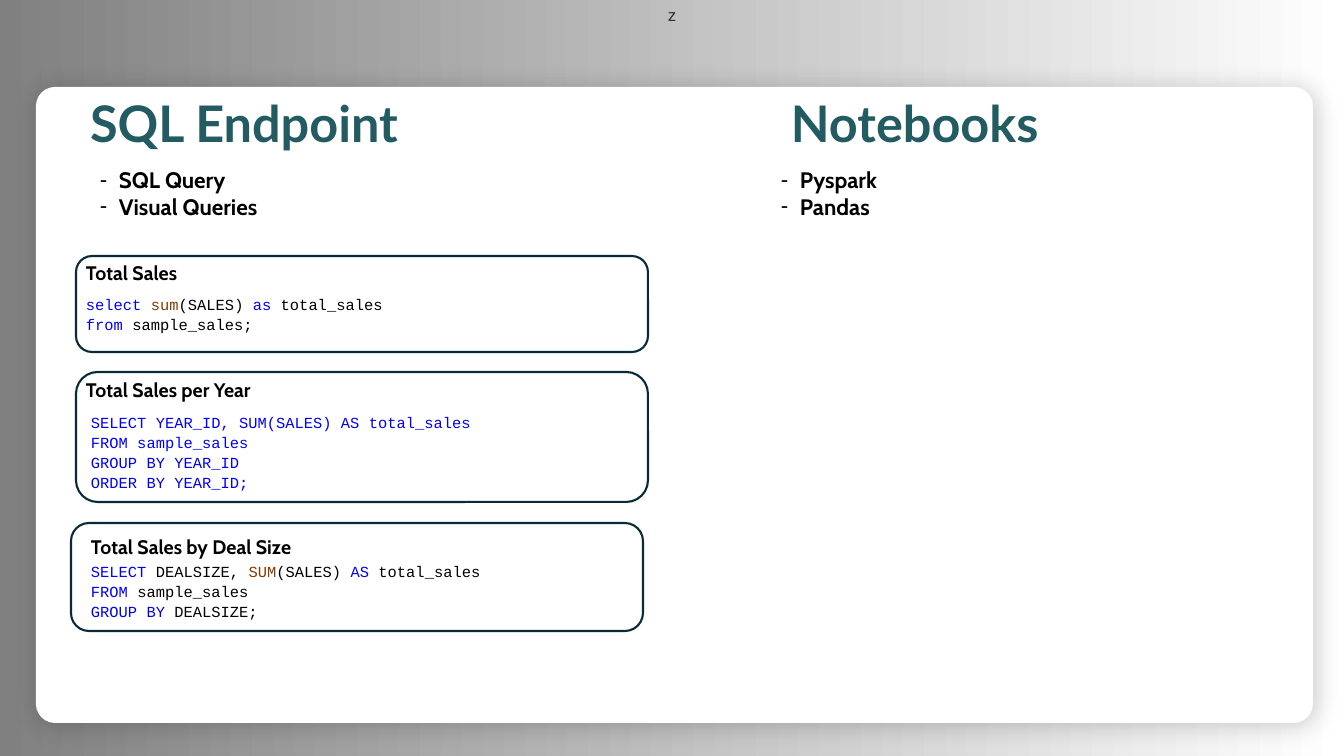
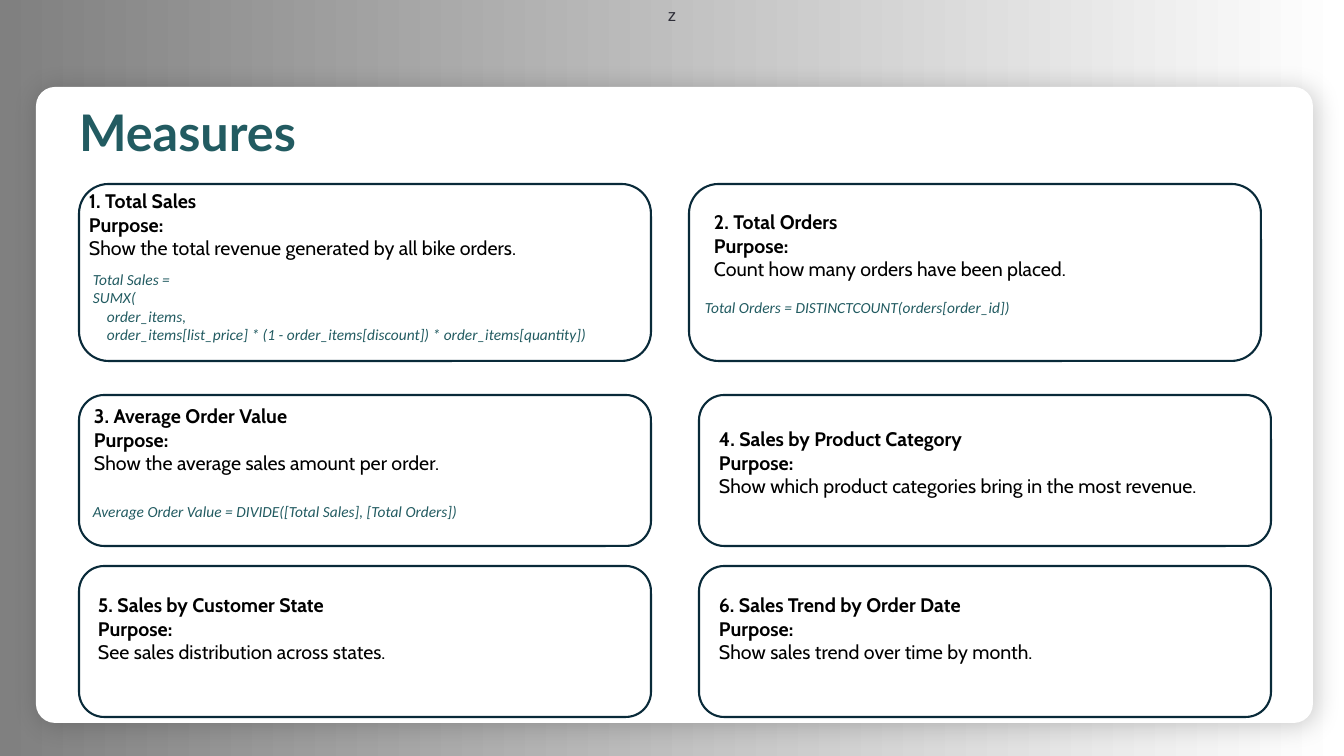
"""Build two slides: query examples by tool, and a grid of report measures."""
from lxml.etree import SubElement
from pptx import Presentation
from pptx.dml.color import RGBColor
from pptx.enum.shapes import MSO_SHAPE
from pptx.enum.text import MSO_ANCHOR, PP_ALIGN
from pptx.oxml.ns import qn
from pptx.util import Pt

PX = 12192000 / 1344
SLIDE_W, SLIDE_H = 1344, 756
BOX_W, TEXT_W = 572, 561

WHITE = RGBColor(0xFF, 0xFF, 0xFF)
BLACK = RGBColor(0x00, 0x00, 0x00)
GREY = RGBColor(0x80, 0x80, 0x80)
CHARCOAL = RGBColor(0x2E, 0x2E, 0x38)
TEAL = RGBColor(0x22, 0x5B, 0x61)
NAVY = RGBColor(0x09, 0x2A, 0x39)
BLUE = RGBColor(0x00, 0x00, 0xFF)
BROWN = RGBColor(0x86, 0x3B, 0x00)

TITLE = dict(font="Lato", size=36, color=TEAL, bold=True, inset=(0, 0))
BULLETS = dict(font="Cabin", size=16, bold=True, bullet="-")
HEADING = dict(font="Cabin", size=14, bold=True)
CODE = dict(font="Courier New", size=11, spacing=14.25)
FORMULA = dict(font="Calibri", size=11, color=TEAL, italic=True)


def px(*lengths):
    return [round(n * PX) for n in lengths]


def add_text(s, x, y, w, h, lines, font="Cabin", size=14, color=BLACK, bold=False,
             italic=False, spacing=None, bullet=None, inset=(10, 5)):
    """Add a text box; a line is a string or a list of (text, color, bold) runs."""
    tf = s.shapes.add_textbox(*px(x, y, w, h)).text_frame
    tf.word_wrap = True
    tf.margin_left, tf.margin_top = px(*inset)
    tf.margin_right, tf.margin_bottom = px(*inset)
    for i, line in enumerate(lines):
        p = tf.add_paragraph() if i else tf.paragraphs[0]
        if spacing:
            p.line_spacing = Pt(spacing)
        if bullet:
            pPr = p._p.get_or_add_pPr()
            indent = px(19)[0]
            pPr.set("marL", str(indent))
            pPr.set("indent", str(-indent))
            SubElement(pPr, qn("a:buFont"), typeface="Arial")
            SubElement(pPr, qn("a:buChar"), char=bullet)
        runs = [(line, color, bold)] if isinstance(line, str) else line
        for text, run_color, run_bold in runs:
            r = p.add_run()
            r.text = text
            r.font.name, r.font.size = font, Pt(size)
            r.font.bold, r.font.italic = run_bold, italic
            r.font.color.rgb = run_color


prs = Presentation()
prs.slide_width, prs.slide_height = px(SLIDE_W, SLIDE_H)
queries, measures = [prs.slides.add_slide(prs.slide_layouts[6]) for _ in range(2)]

for s in (queries, measures):
    sp = s.shapes.add_shape(MSO_SHAPE.RECTANGLE, *px(0, 0, SLIDE_W, SLIDE_H))
    sp.shadow.inherit = False
    sp.line.fill.background()
    sp.fill.gradient()
    sp.fill.gradient_angle = 0
    for stop, color in zip(sp.fill.gradient_stops, (GREY, WHITE)):
        stop.color.rgb = color
    sp.text_frame.vertical_anchor = MSO_ANCHOR.TOP
    p = sp.text_frame.paragraphs[0]
    p.alignment = PP_ALIGN.CENTER
    r = p.add_run()
    r.text = "z"
    r.font.name, r.font.size = "Arial", Pt(12)
    r.font.color.rgb = CHARCOAL

    panel = s.shapes.add_shape(MSO_SHAPE.ROUNDED_RECTANGLE, *px(36, 87, 1277, 636))
    panel.adjustments[0] = 0.03
    panel.fill.solid()
    panel.fill.fore_color.rgb = WHITE
    panel.line.fill.background()
    panel.shadow.inherit = False
    effects = panel._element.spPr.find(qn("a:effectLst"))
    shadow = SubElement(effects, qn("a:outerShdw"), blurRad=str(Pt(18)),
                        dist=str(Pt(3)), dir="2700000", algn="tl", rotWithShape="0")
    shade = SubElement(shadow, qn("a:srgbClr"), val=str(BLACK))
    SubElement(shade, qn("a:alpha"), val="20000")

boxes = [
    (queries, 76, 256, 96), (queries, 76, 372, 130), (queries, 71, 523, 108),
    (measures, 79, 184, 177), (measures, 689, 184, 177),
    (measures, 79, 395, 151), (measures, 699, 395, 151),
    (measures, 79, 566, 151), (measures, 699, 566, 151),
]
for s, x, y, h in boxes:
    sp = s.shapes.add_shape(MSO_SHAPE.ROUNDED_RECTANGLE, *px(x, y, BOX_W, h))
    sp.shadow.inherit = False
    sp.fill.background()
    sp.line.color.rgb = NAVY
    sp.line.width = Pt(1.5)

for s, x, y, title in [(queries, 90, 92, "SQL Endpoint"), (queries, 791, 92, "Notebooks"),
                       (measures, 79, 101, "Measures")]:
    add_text(s, x, y, 400, 61, [title], **TITLE)

for x, items in [(90, ["SQL Query", "Visual Queries"]), (771, ["Pyspark", "Pandas"])]:
    add_text(queries, x, 161, 521, 65, items, **BULLETS)

for x, y, heading in [(76, 256, "Total Sales"), (76, 373, "Total Sales per Year"),
                      (81, 530, "Total Sales by Deal Size")]:
    add_text(queries, x, y, TEXT_W, 34, [heading], **HEADING)

sql_blocks = [
    (76, 289, 48, [
        [("select ", BLUE), ("sum", BROWN), ("(SALES) ", BLACK), ("as ", BLUE),
         ("total_sales", BLACK)],
        [("from ", BLUE), ("sample_sales;", BLACK)],
    ]),
    (81, 407, 89, [
        [("SELECT YEAR_ID, SUM(SALES) AS total_sales", BLUE)],
        [("FROM sample_sales", BLUE)],
        [("GROUP BY YEAR_ID", BLUE)],
        [("ORDER BY YEAR_ID;", BLUE)],
    ]),
    (81, 556, 70, [
        [("SELECT", BLUE), (" DEALSIZE, ", BLACK), ("SUM", BROWN), ("(SALES) ", BLACK),
         ("AS ", BLUE), ("total_sales", BLACK)],
        [("FROM ", BLUE), ("sample_sales", BLACK)],
        [("GROUP BY", BLUE), (" DEALSIZE;", BLACK)],
    ]),
]
for x, y, h, sql in sql_blocks:
    lines = [[(text, color, False) for text, color in line] for line in sql]
    add_text(queries, x, y, TEXT_W, h, lines, **CODE)

cards = [
    (79, 184, "1. Total Sales", "Show the total revenue generated by all bike orders."),
    (704, 205, "2. Total Orders", "Count how many orders have been placed."),
    (84, 399, "3. Average Order Value", "Show the average sales amount per order."),
    (709, 422, "4. Sales by Product Category",
     "Show which product categories bring in the most revenue."),
    (88, 588, "5. Sales by Customer State", "See sales distribution across states."),
    (709, 588, "6. Sales Trend by Order Date", "Show sales trend over time by month."),
]
for x, y, heading, purpose in cards:
    lines = [heading, "Purpose:", [(purpose, BLACK, False)]]
    add_text(measures, x, y, TEXT_W, 81, lines, **HEADING)

formulas = [
    (83, 265, 84, [
        "Total Sales =",
        "SUMX(",
        "    order_items,",
        "    order_items[list_price] * (1 - order_items[discount]) * order_items[quantity])",
    ]),
    (695, 293, 29, ["Total Orders = DISTINCTCOUNT(orders[order_id])"]),
    (83, 497, 29, ["Average Order Value = DIVIDE([Total Sales], [Total Orders])"]),
]
for x, y, h, lines in formulas:
    add_text(measures, x, y, TEXT_W, h, lines, **FORMULA)

prs.save("out.pptx")
